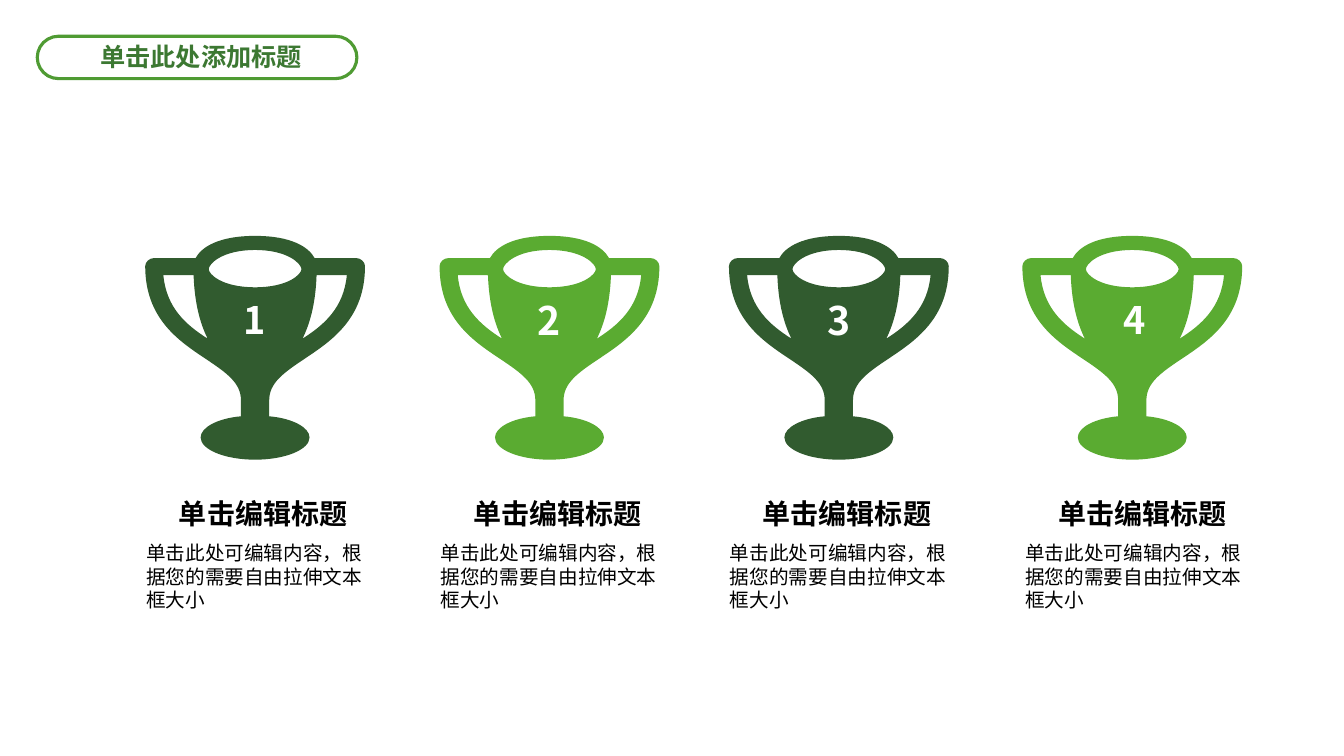
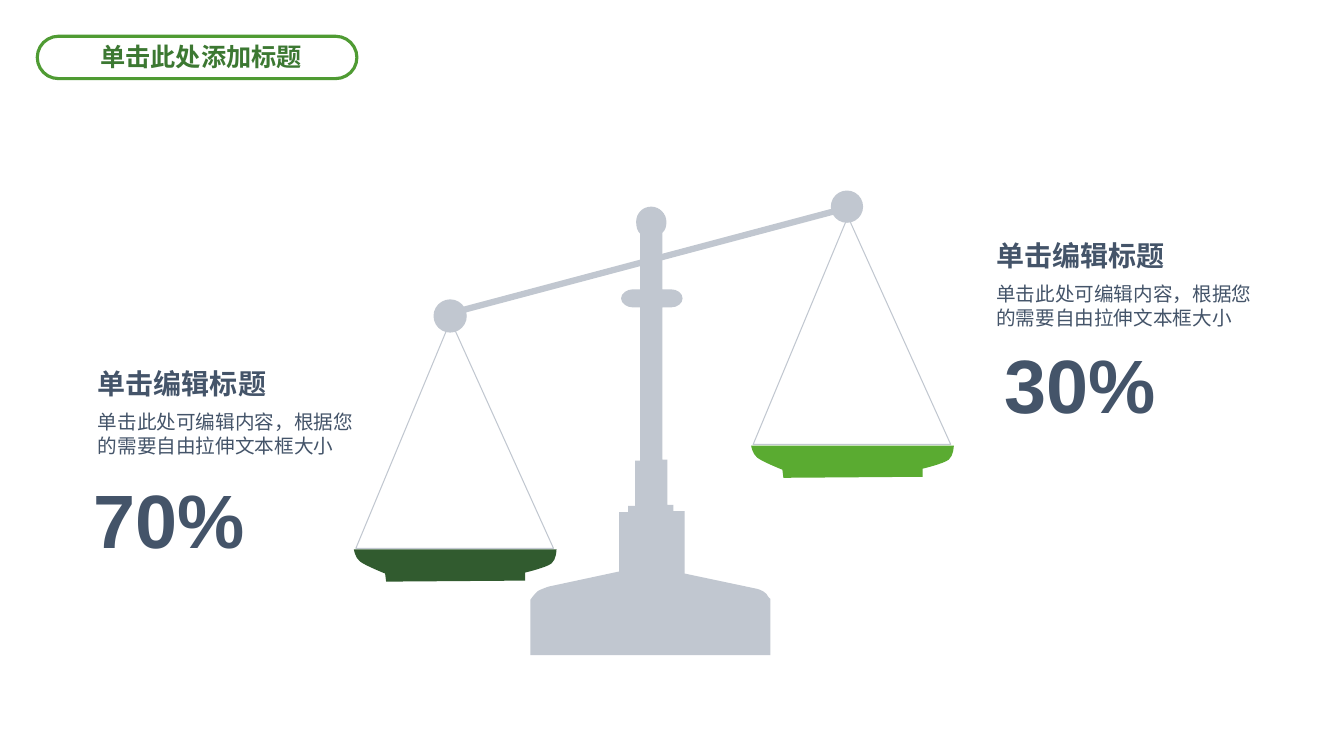
import pptx
import pptx.dml.color
import pptx.enum.shapes
import pptx.enum.text
import pptx.oxml
import pptx.util
from lxml import etree
from pptx.util import Inches, Pt

HEADING = "单击此处添加标题"
SUBTITLE = "单击编辑标题"
BODY = "单击此处可编辑内容，根据您的需要自由拉伸文本框大小"

DARK, LIGHT, GREY, SLATE = "315B2F", "5AAB31", "C1C7D0", "445469"
PILL_LINE, PILL_TEXT, WHITE, BLACK = "4F9B33", "3C7832", "FFFFFF", "000000"
LATIN, CJK = "Arial", "Noto Sans CJK SC"

TROPHIES = [
    ("1", 27, DARK, 1.45, 1.45),
    ("2", 28, LIGHT, 4.37, 4.37),
    ("3", 28, DARK, 7.24, 7.24),
    ("4", 27, LIGHT, 10.15, 10.17),
]
SIDES = [
    ("70%", (0.97, 3.64), (0.93, 4.69), (3.51, 5.45), DARK),
    ("30%", (9.88, 2.37), (9.96, 3.35), (7.45, 4.42), LIGHT),
]

CUP_HALF = [
    (0, 0), (0.36, 0, 0.53, 0.11, 0.59, 0.22), (1, 0.22),
    (1.05, 0.22, 1.09, 0.26, 1.09, 0.3),
    (1.09, 0.82, 0.76, 1.04, 0.49, 1.22),
    (0.28, 1.36, 0.14, 1.46, 0.14, 1.63), (0.14, 1.79),
    (0.37, 1.81, 0.54, 1.9, 0.54, 2), (0.54, 2.12, 0.3, 2.22, 0, 2.22),
]
MOUTH_HALF = [
    (0, 0.14), (0.33, 0.14, 0.46, 0.28, 0.46, 0.33),
    (0.46, 0.38, 0.33, 0.51, 0, 0.51),
]
HANDLE = [
    (0.47, 1.02), (0.54, 0.88, 0.6, 0.68, 0.61, 0.39), (0.91, 0.39),
    (0.88, 0.71, 0.69, 0.88, 0.47, 1.02),
]
PAN = [
    (0, 0), (0, 0, 0.01, 0.08, 0.06, 0.12),
    (0.11, 0.16, 0.31, 0.24, 0.31, 0.24), (0.32, 0.32), (1.7, 0.31),
    (1.7, 0.23), (1.7, 0.23, 1.91, 0.18, 1.96, 0.14),
    (2.01, 0.1, 2.01, 0, 2.01, 0),
]
STRINGS = [(0.96, -2.27), (0.02, -0.01), (1.98, -0.01)]
POST = [
    (7.6, 5.89), (7.56, 5.85, 7.5, 5.84, 7.5, 5.84), (6.79, 5.69),
    (6.79, 5.07), (6.68, 5.07), (6.68, 5.01), (6.62, 5.01), (6.62, 4.56),
    (6.57, 4.56), (6.57, 3.05), (6.65, 3.05),
    (6.72, 3.05, 6.77, 3.01, 6.77, 2.96),
    (6.77, 2.91, 6.72, 2.87, 6.65, 2.87), (6.57, 2.87), (6.57, 2.31),
    (6.6, 2.28, 6.61, 2.25, 6.61, 2.2), (6.61, 2.12, 6.54, 2.05, 6.46, 2.05),
    (6.37, 2.05, 6.31, 2.12, 6.31, 2.2), (6.31, 2.25, 6.32, 2.29, 6.35, 2.32),
    (6.35, 2.87), (6.28, 2.87), (6.22, 2.87, 6.16, 2.91, 6.16, 2.96),
    (6.16, 3.01, 6.22, 3.05, 6.28, 3.05), (6.35, 3.05), (6.35, 4.57),
    (6.3, 4.57), (6.3, 5.02), (6.23, 5.02), (6.23, 5.08), (6.14, 5.08),
    (6.14, 5.67), (5.44, 5.82), (5.44, 5.82, 5.38, 5.84, 5.34, 5.86),
    (5.31, 5.88, 5.26, 5.95, 5.26, 5.95), (5.26, 6.5), (7.64, 6.5),
    (7.64, 5.94), (7.64, 5.94, 7.63, 5.94, 7.6, 5.89),
]
BEAM = (4.35, 3.14, 8.26, 2.1)
BEAM_ENDS = [(8.24, 1.89, 0.32), (4.3, 2.97, 0.33)]


def rgb(value):
    """Turn a hex string into a colour."""
    return pptx.dml.color.RGBColor.from_string(value)


def qn(tag):
    """Expand a prefixed XML name."""
    return pptx.oxml.ns.qn(tag)


def mirror(outline):
    """Reflect an outline about the vertical axis."""
    return [tuple(v if i % 2 else -v for i, v in enumerate(part)) for part in outline]


def complete(half):
    """Join a right half with its mirrored way back to the start."""
    left = mirror(half)
    back = []
    for before, part in zip(left[-2::-1], left[:0:-1]):
        controls = part[2:4] + part[:2] if len(part) == 6 else ()
        back.append(controls + before[-2:])
    return half + back


def style(shape, fill=None, line=None, width=0):
    """Set fill and line, and remove the shadow."""
    shape.shadow.inherit = False
    if fill:
        shape.fill.solid()
        shape.fill.fore_color.rgb = rgb(fill)
    else:
        shape.fill.background()
    if line:
        shape.line.color.rgb = rgb(line)
        shape.line.width = Pt(width)
    else:
        shape.line.fill.background()


def add_outline(s, contours, left=0, top=0, fill=None, line=None):
    """Draw closed contours of lines and cubic curves as one freeform."""
    builder = None
    for contour in contours:
        ends = [(Inches(left + part[-2]), Inches(top + part[-1])) for part in contour]
        if builder is None:
            builder = s.shapes.build_freeform(*ends[0])
        else:
            builder.move_to(*ends[0])
        builder.add_line_segments(ends[1:], close=True)
    shape = builder.convert_to_shape()
    nodes = list(shape._element.iter(qn("a:moveTo"), qn("a:lnTo")))
    parts = [part for contour in contours for part in contour]
    for node, part in zip(nodes, parts):
        if len(part) == 6:
            node.tag = qn("a:cubicBezTo")
            for i in range(2):
                x = Inches(left + part[2 * i]) - shape.left
                y = Inches(top + part[2 * i + 1]) - shape.top
                node.insert(i, etree.Element(qn("a:pt"), x=str(x), y=str(y)))
    style(shape, fill, line)


def write(shape, text, size, color, font=LATIN, bold=True, center=False, wrap=True):
    """Put one formatted paragraph in a shape without insets."""
    tf = shape.text_frame
    tf.word_wrap = wrap
    tf.margin_left = tf.margin_right = tf.margin_top = tf.margin_bottom = 0
    tf.text = text
    p = tf.paragraphs[0]
    align = pptx.enum.text.PP_ALIGN
    p.alignment = align.CENTER if center else align.LEFT
    r = p.runs[0]
    r.font.size, r.font.bold, r.font.name = Pt(size), bold, font
    r.font.color.rgb = rgb(color)
    etree.SubElement(r._r.get_or_add_rPr(), qn("a:ea"), typeface=font)
    return tf


def add_text(s, box, *args, **options):
    """Add a text box at left, top, width, height."""
    write(s.shapes.add_textbox(*map(Inches, box)), *args, **options)


def add_slide(prs):
    """Add a blank slide with the heading pill."""
    s = prs.slides.add_slide(prs.slide_layouts[6])
    pill = s.shapes.add_shape(pptx.enum.shapes.MSO_SHAPE.ROUNDED_RECTANGLE,
                              *map(Inches, (0.37, 0.36, 3.17, 0.42)))
    pill.adjustments[0] = 0.5
    style(pill, WHITE, PILL_LINE, 2.25)
    tf = write(pill, HEADING, 18, PILL_TEXT, CJK, center=True, wrap=False)
    tf.vertical_anchor = pptx.enum.text.MSO_ANCHOR.MIDDLE
    tf.margin_left, tf.margin_bottom = Inches(0.08), Inches(0.02)
    return s


def add_trophies(prs):
    """Build the slide of four numbered trophies."""
    s = add_slide(prs)
    contours = [complete(CUP_HALF), complete(MOUTH_HALF), HANDLE, mirror(HANDLE)]
    for number, size, color, cup_left, left in TROPHIES:
        add_outline(s, contours, cup_left + 1.08, 2.34, color)
        add_text(s, (left + 0.5, 2.94, 1.16, 0.47), number, size, WHITE, CJK, center=True)
        add_text(s, (left, 4.93, 2.32, 0.34), SUBTITLE, 20, BLACK, center=True)
        add_text(s, (left, 5.37, 2.33, 0.71), BODY, 14, BLACK, bold=False)


def add_balance(prs):
    """Build the slide of the tilted balance."""
    s = add_slide(prs)
    for percent, (left, top), (x, y), pan, color in SIDES:
        add_outline(s, [STRINGS], *pan, line=GREY)
        add_outline(s, [PAN], *pan, fill=color)
        add_text(s, (x, y, 1.52, 0.91), percent, 54, SLATE, wrap=False)
        add_text(s, (left, top, 2.14, 0.34), SUBTITLE, 20, SLATE)
        add_text(s, (left, top + 0.43, 2.55, 0.47), BODY, 14, SLATE, bold=False)
    beam = s.shapes.add_connector(pptx.enum.shapes.MSO_CONNECTOR.STRAIGHT,
                                  *map(Inches, BEAM))
    beam.line.color.rgb = rgb(GREY)
    beam.line.width = Pt(4.5)
    etree.SubElement(beam._element.spPr, qn("a:effectLst"))
    for left, top, size in BEAM_ENDS:
        knob = s.shapes.add_shape(pptx.enum.shapes.MSO_SHAPE.OVAL,
                                  *map(Inches, (left, top, size, size)))
        style(knob, GREY)
    add_outline(s, [POST], fill=GREY)


def main():
    """Build and save the presentation."""
    prs = pptx.Presentation()
    prs.slide_width, prs.slide_height = Inches(13.33), Inches(7.5)
    add_trophies(prs)
    add_balance(prs)
    prs.save("out.pptx")


if __name__ == "__main__":
    main()
